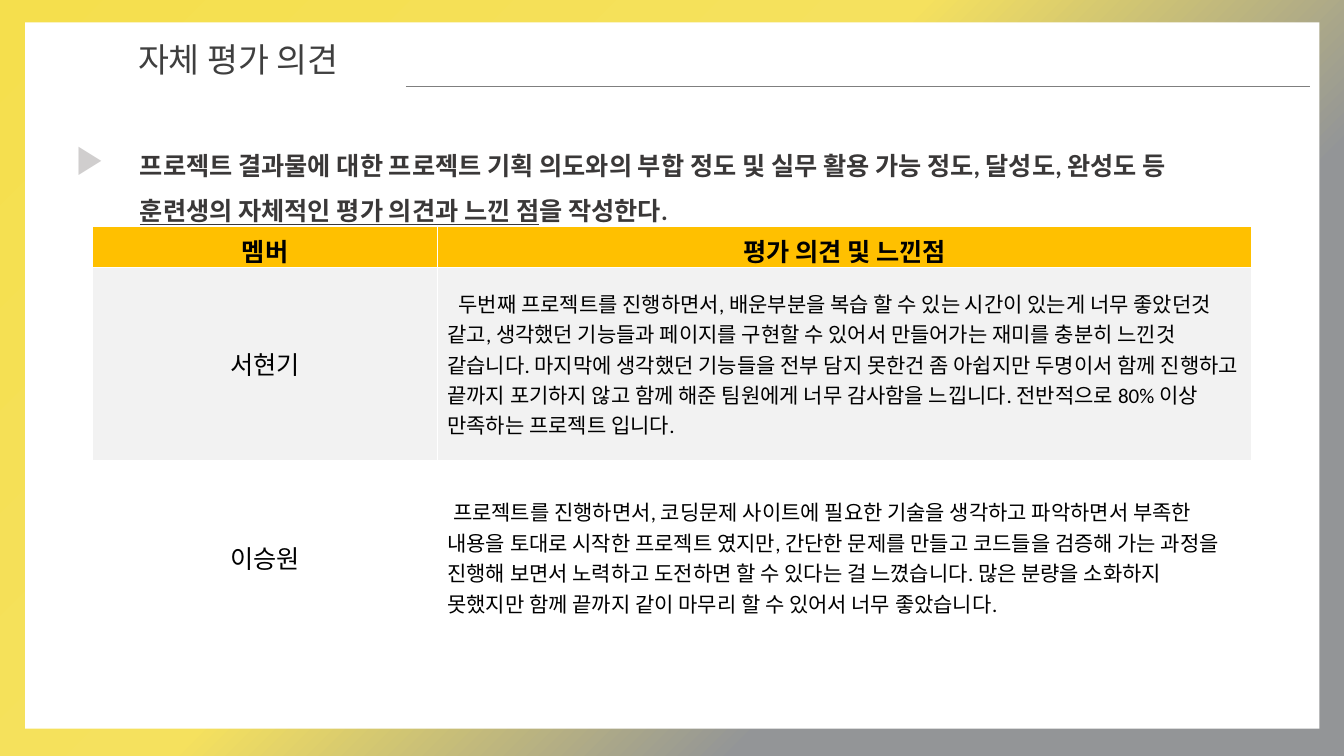
from lxml import etree
from pptx import Presentation
from pptx.dml.color import RGBColor
from pptx.enum.shapes import MSO_CONNECTOR, MSO_SHAPE
from pptx.enum.text import MSO_ANCHOR, MSO_AUTO_SIZE, PP_ALIGN
from pptx.oxml.ns import qn
from pptx.util import Pt

LEFT, CENTER = PP_ALIGN.LEFT, PP_ALIGN.CENTER
TOP, MIDDLE = MSO_ANCHOR.TOP, MSO_ANCHOR.MIDDLE
GROW = MSO_AUTO_SIZE.SHAPE_TO_FIT_TEXT
RECT, LINE = MSO_SHAPE.RECTANGLE, MSO_CONNECTOR.STRAIGHT

# Content
TITLE = "자체 평가 의견"
GUIDE = [  # text, underlined
    ("프로젝트 결과물에 대한 프로젝트 기획 의도와의 부합 정도 및 실무 활용 가능 정도, 달성도, 완성도 등 ", False),
    ("훈련생의 자체적인 평가 의견과 느낀 점", True),
    ("을 작성한다.", False),
]
HEADS = ("멤버", "평가 의견 및 느낀점")
REVIEWS = [  # member, font of the name, first-line indent, review
    ("서현기", "Calibri", 8,
     "두번째 프로젝트를 진행하면서, 배운부분을 복습 할 수 있는 시간이 있는게 너무 좋았던것 같고, "
     "생각했던 기능들과 페이지를 구현할 수 있어서 만들어가는 재미를 충분히 느낀것 같습니다. "
     "마지막에 생각했던 기능들을 전부 담지 못한건 좀 아쉽지만 두명이서 함께 진행하고 끝까지 포기하지 않고 "
     "함께 해준 팀원에게 너무 감사함을 느낍니다. 전반적으로 80% 이상 만족하는 프로젝트 입니다."),
    ("이승원", "Arial", 4,
     "프로젝트를 진행하면서, 코딩문제 사이트에 필요한 기술을 생각하고 파악하면서 부족한 내용을 토대로 "
     "시작한 프로젝트 였지만, 간단한 문제를 만들고 코드들을 검증해 가는 과정을 진행해 보면서 노력하고 "
     "도전하면 할 수 있다는 걸 느꼈습니다. 많은 분량을 소화하지 못했지만 함께 끝까지 같이 마무리 할 수 "
     "있어서 너무 좋았습니다."),
]
COLORS = {"white": "FFFFFF", "title": "3F3F3F", "guide": "3A3838", "mark": "D0CECE",
          "rule": "7F7F7F", "head": "FFC000", "band": "F2F2F2", "text": "000000"}
STOPS = [(0, "F5DF4D", 100), (44, "F5E15E", 69), (71, "939597", 69), (100, "939597", 100)]
COLS, ROWS = (246.2, 581.8), (28.8, 138.2, 138.2)


def rgb(name):
    return RGBColor.from_string(COLORS[name])


def style(run, size, font, color, bold=False):
    run.font.size, run.font.name, run.font.bold = Pt(size), font, bold
    run.font.color.rgb = rgb(color)


def place(shape, *box):
    shape.left, shape.top, shape.width, shape.height = map(Pt, box)


def add_box(*box):
    frame = slide.shapes.add_textbox(*map(Pt, box)).text_frame
    frame.word_wrap, frame.auto_size = True, GROW
    return frame.paragraphs[0]


def fill_cell(cell, text, fill, size, font, align, bold=False, anchor=MIDDLE):
    cell.fill.solid()
    cell.fill.fore_color.rgb = rgb(fill)
    cell.vertical_anchor = anchor
    cell.text_frame.text = text
    para = cell.text_frame.paragraphs[0]
    para.alignment = align
    style(para.runs[0], size, font, "text", bold)
    return para


deck = Presentation()
deck.slide_width, deck.slide_height = Pt(960), Pt(540)
slide = deck.slides.add_slide(deck.slide_layouts[5])

# Gradient background
slide.background.fill.gradient()
stops = next(slide.element.iter(qn("a:gsLst")))
for stop in list(stops):
    stops.remove(stop)
for pos, color, alpha in STOPS:
    stop = etree.SubElement(stops, qn("a:gs"), pos=str(pos * 1000))
    tint = etree.SubElement(stop, qn("a:srgbClr"), val=color)
    if alpha < 100:
        etree.SubElement(tint, qn("a:alpha"), val=str(alpha * 1000))
next(slide.element.iter(qn("a:lin"))).set("ang", str(45 * 60000))

# White panel, behind the title
panel = slide.shapes.add_shape(RECT, Pt(18), Pt(16), Pt(924.5), Pt(504.5))
panel.shadow.inherit = False
panel.fill.solid()
panel.fill.fore_color.rgb = rgb("white")
panel.line.fill.background()
slide.shapes.title.element.addprevious(panel.element)

# Title and rule
title = slide.shapes.title
place(title, 91.4, 24.5, 184.3, 36.3)
frame = title.text_frame
frame.text = TITLE
frame.word_wrap, frame.auto_size, frame.vertical_anchor = True, GROW, TOP
frame.paragraphs[0].alignment = LEFT
style(frame.paragraphs[0].runs[0], 24, "Arial", "title")

rule = slide.shapes.add_connector(LINE, Pt(290), Pt(62), Pt(936), Pt(62))
rule.line.color.rgb, rule.line.width = rgb("rule"), Pt(1)
etree.SubElement(rule.element.spPr, qn("a:effectLst"))

# Guide with its marker
para = add_box(92.9, 92.9, 803.5, 72.7)
para.line_spacing = 1.5
for text, under in GUIDE:
    run = para.add_run()
    run.text = text
    style(run, 18, "Calibri", "guide", True)
    run.font.underline = under
mark = add_box(47.5, 91.4, 39.6, 41)
mark.text = "▶"
style(mark.runs[0], 28, "Arial", "mark", True)

# Review table
table = slide.shapes.add_table(len(ROWS), len(COLS), Pt(66.2), Pt(162),
                               Pt(sum(COLS)), Pt(sum(ROWS))).table
for col, width in zip(table.columns, COLS):
    col.width = Pt(width)
for row, height in zip(table.rows, ROWS):
    row.height = Pt(height)
for c, head in enumerate(HEADS):
    fill_cell(table.cell(0, c), head, "head", 18, "Calibri", CENTER, True, TOP)
for r, (name, font, indent, review) in enumerate(REVIEWS, 1):
    fill = "band" if r % 2 else "white"
    fill_cell(table.cell(r, 0), name, fill, 18, font, CENTER)
    para = fill_cell(table.cell(r, 1), review, fill, 15, "Calibri", LEFT)
    props = para.runs[0].font and next(table.cell(r, 1).text_frame._txBody.iter(qn("a:pPr")))
    props.set("indent", str(Pt(indent)))

deck.save("out.pptx")
